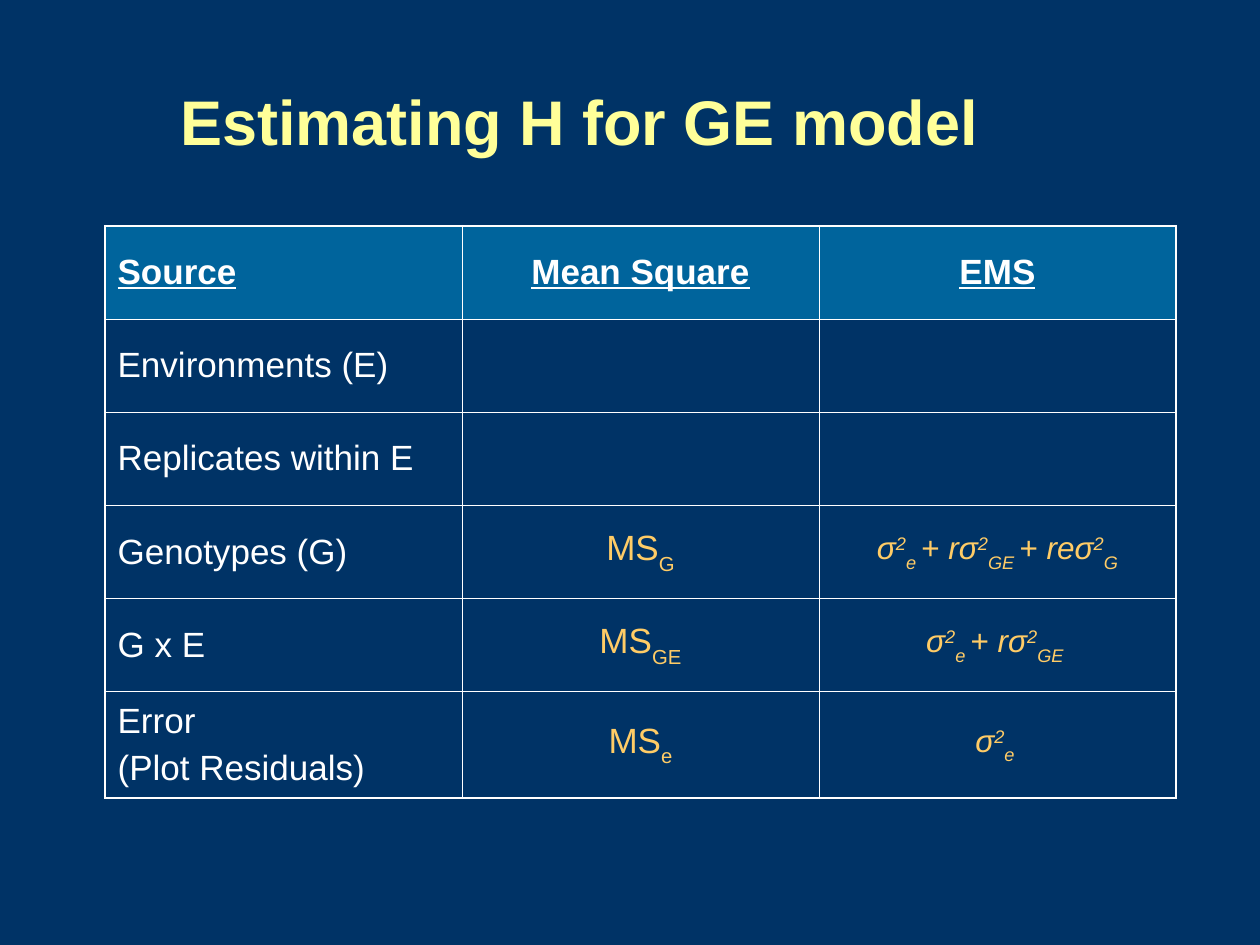
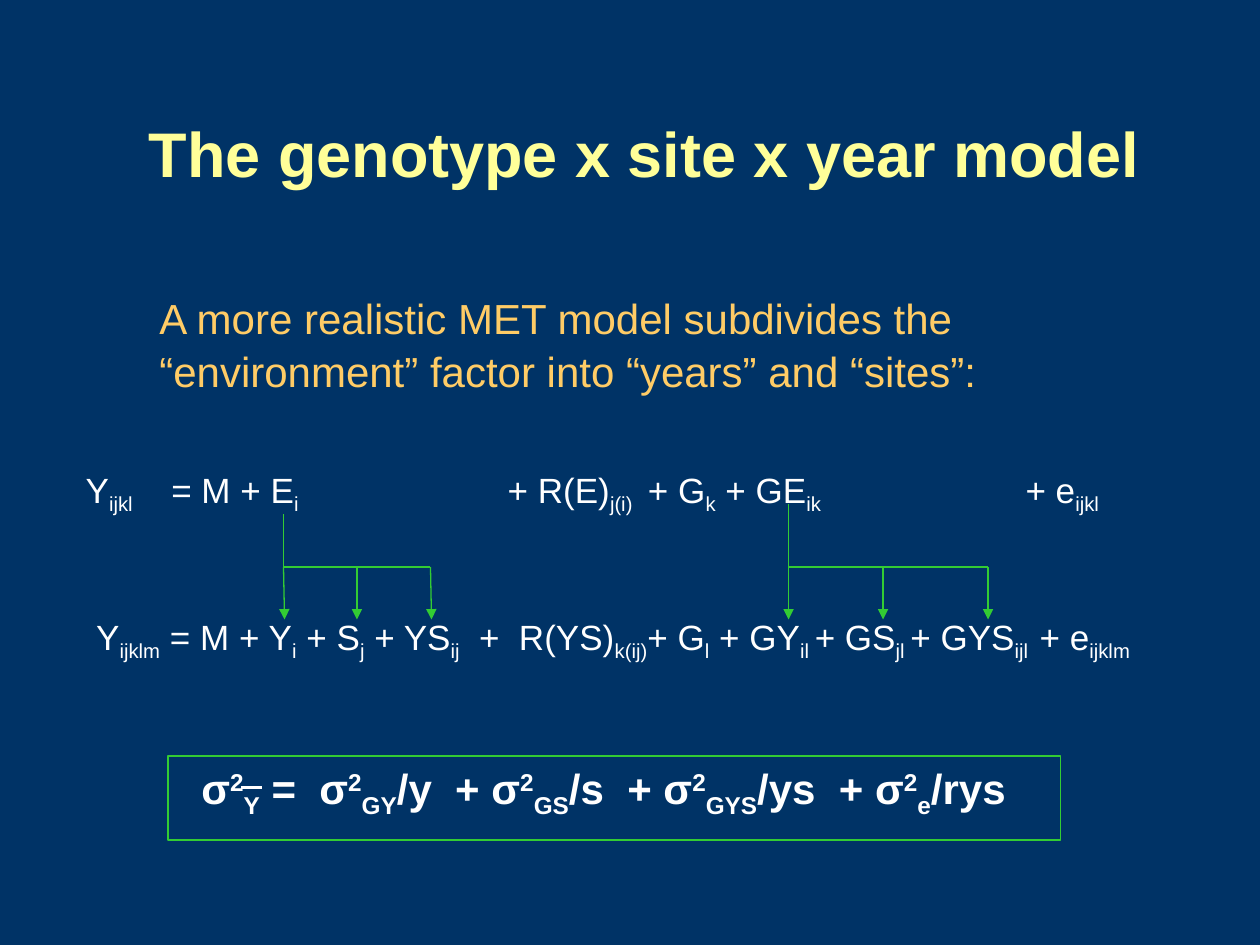
"""Builds two slides on estimating variance components in multi-environment trials."""
import pptx
import pptx.dml.color
import pptx.enum.shapes
import pptx.enum.text
import pptx.oxml
import pptx.oxml.ns
import pptx.util

UNIT = pptx.util.Inches(1) / 12
NAVY, TEAL, WHITE = "003366", "00649C", "FFFFFF"
YELLOW, AMBER, GREEN = "FFFF99", "FFCC66", "33CC33"
THIN, THICK = 0.45, 1.08
CENTER = pptx.enum.text.PP_ALIGN.CENTER
LEFT = pptx.enum.text.PP_ALIGN.LEFT
MIDDLE = pptx.enum.text.MSO_ANCHOR.MIDDLE
TOP = pptx.enum.text.MSO_ANCHOR.TOP

HEADERS = ["Source", "Mean Square", "EMS"]
SOURCES = [
    ("Environments (E)", "", ""),
    ("Replicates within E", "", ""),
    ("Genotypes (G)", "MS|_G", "σ|^2|_e |+ |rσ|^2|_GE |+ |reσ|^2|_G"),
    ("G x E", "MS|_GE", "σ|^2|_e |+ |rσ|^2|_GE "),
    ("Error\n(Plot Residuals)", "MS|_e", "σ|^2|_e "),
]
INTRO = ("A more realistic MET model subdivides the “environment” factor "
         "into “years” and “sites”:")
GE_MODEL = "Y|_ijkl|\t= M + E|_i|\t+ R(E)|_j(i) | + G|_k| + GE|_ik|\t+ e|_ijkl"
GE_TABS = [0.68, 3.35, 7.46]
GSY_MODEL = ("Y|_ijklm| = M + Y|_i| + S|_j| + YS|_ij|  +  R(YS)|_k(ij)|+ G|_l"
             "| + GY|_il |+ GS|_jl |+ GYS|_ijl  |+ e|_ijklm")
MEAN_VARIANCE = ("σ|^2|_Y| =  σ|^2|_GY|/y  + σ|^2|_GS|/s  + σ|^2|_GYS"
                 "|/ys  + σ|^2|_e|/rys")


def rgb(value):
    """Turn a hex string into a colour."""
    return pptx.dml.color.RGBColor.from_string(value)


def grid(*counts):
    """Turn counts of twelfths of an inch into lengths."""
    return [round(n * UNIT) for n in counts]


def add_runs(p, text, color, sub=-25, slant=False, **font):
    """Write runs split by bars, where _ lowers and ^ raises a run."""
    shifts = {"_": sub, "^": 30}
    for part in text.split("|"):
        r = p.add_run()
        shift = shifts.get(part[0])
        r.text = part[1:] if shift else part
        r.font.name = "Arial"
        r.font.color.rgb = rgb(color)
        for name, value in font.items():
            setattr(r.font, name, value)
        if slant:
            r.font.italic = not part.startswith("+")
        if shift:
            r._r.get_or_add_rPr().set("baseline", str(shift * 1000))


def add_tabs(p, stops):
    """Give a paragraph left tab stops in inches."""
    tabs = pptx.oxml.ns.qn("a:tabLst")
    tab_list = p._p.get_or_add_pPr().makeelement(tabs, {})
    for stop in stops:
        tab = tab_list.makeelement(pptx.oxml.ns.qn("a:tab"), {
            "pos": str(pptx.util.Inches(stop)), "algn": "l"})
        tab_list.append(tab)
    p._p.get_or_add_pPr().append(tab_list)


def add_text(s, box, text, size, color, anchor=TOP, indent=0.1, tabs=(),
             spacing=None, bold=False):
    """Place a wrapped one-paragraph text box on the grid."""
    tf = s.shapes.add_textbox(*grid(*box)).text_frame
    tf.word_wrap = True
    tf.vertical_anchor = anchor
    tf.margin_left = pptx.util.Inches(indent)
    p = tf.paragraphs[0]
    if spacing:
        p.line_spacing = spacing
    if tabs:
        add_tabs(p, tabs)
    add_runs(p, text, color, size=pptx.util.Pt(size), bold=bold)


def add_slide(prs, title, left, top):
    """Add a navy slide with its title."""
    s = prs.slides.add_slide(prs.slide_layouts[6])
    s.background.fill.solid()
    s.background.fill.fore_color.rgb = rgb(NAVY)
    add_text(s, (left, top, 102, 15), title, 36, YELLOW, MIDDLE, bold=True)
    return s


def add_line(s, start, end, color=GREEN, width=0.75, arrow=False):
    """Draw a straight line, with an arrowhead at its end if asked."""
    c = s.shapes.add_connector(pptx.enum.shapes.MSO_CONNECTOR.STRAIGHT,
                               *grid(*start, *end))
    c.line.color.rgb = rgb(color)
    c.line.width = pptx.util.Pt(width)
    props = c._element.spPr
    if arrow:
        ln = c.line._get_or_add_ln()
        ln.append(ln.makeelement(pptx.oxml.ns.qn("a:tailEnd"),
                                 {"type": "triangle"}))
    props.append(props.makeelement(pptx.oxml.ns.qn("a:effectLst"), {}))


def add_split(s, top, branches):
    """Draw a stem dividing into arrows, each given by its two x values."""
    bar, tip = 54, 59
    first, last = branches[0][0], branches[-1][0]
    add_line(s, (first, top), (first, bar))
    add_line(s, (first, bar), (last, bar))
    for start, end in branches:
        add_line(s, (start, bar), (end, tip), arrow=True)


def add_borders(cell, widths):
    """Line the four sides of a cell in white."""
    props = cell._tc.get_or_add_tcPr()
    for i, (side, width) in enumerate(widths.items()):
        props.insert(i, pptx.oxml.parse_xml(
            f'<a:ln{side} {pptx.oxml.ns.nsdecls("a")} '
            f'w="{pptx.util.Pt(width)}"><a:solidFill><a:srgbClr '
            f'val="{WHITE}"/></a:solidFill></a:ln{side}>'))


def fill_cell(cell, text, col, header):
    """Write one cell in the style of its column."""
    cell.vertical_anchor = MIDDLE
    size = 18 if col == 2 and not header else 20
    color = WHITE if header or col == 0 else AMBER
    for i, line in enumerate(text.split("\n") if text else []):
        tf = cell.text_frame
        p = tf.add_paragraph() if i else tf.paragraphs[0]
        p.alignment = CENTER if col else LEFT
        p.space_before = pptx.util.Pt(size / 4)
        add_runs(p, line, color, sub=-30, slant=size == 18,
                 size=pptx.util.Pt(size), bold=header, underline=header)


def add_anova(s, rows):
    """Add the analysis of variance table."""
    last_row, last_col = len(rows) - 1, len(rows[0]) - 1
    table = s.shapes.add_table(len(rows), len(rows[0]),
                               *grid(10, 21.5, 102, 54.5)).table
    table.horz_banding = False
    for col in table.columns:
        col.width = grid(34)[0]
    for r, row in enumerate(rows):
        table.rows[r].height = grid(10.1 if r == last_row else 8.88)[0]
        for c, text in enumerate(row):
            cell = table.cell(r, c)
            fill_cell(cell, text, c, r == 0)
            if r == 0:
                cell.fill.solid()
                cell.fill.fore_color.rgb = rgb(TEAL)
            else:
                cell.fill.background()
            outer = {"L": c == 0, "R": c == last_col,
                     "T": r == 0, "B": r == last_row}
            add_borders(cell, {side: THICK if edge else THIN
                               for side, edge in outer.items()})


def add_frame(s, box):
    """Draw an unfilled green rectangle."""
    sp = s.shapes.add_shape(pptx.enum.shapes.MSO_SHAPE.RECTANGLE, *grid(*box))
    sp.shadow.inherit = False
    sp.fill.background()
    sp.line.color.rgb = rgb(GREEN)
    sp.line.width = pptx.util.Pt(0.75)


def main():
    """Build and save the slides."""
    prs = pptx.Presentation()
    prs.slide_width, prs.slide_height = grid(120, 90)

    s = add_slide(prs, "Estimating H for GE model", 16, 4)
    add_anova(s, [HEADERS, *SOURCES])

    s = add_slide(prs, "The genotype x site x year model", 13, 7)
    add_text(s, (14, 27, 100, 10.8), INTRO, 24, AMBER, spacing=1.05)
    add_text(s, (6, 44, 107, 5.8), GE_MODEL, 20, WHITE,
             indent=0.18, tabs=GE_TABS)
    add_text(s, (7, 58, 107, 5.8), GSY_MODEL, 20, WHITE, indent=0.18)
    add_split(s, 49, [(27, 27.1), (34, 34), (41, 41.1)])
    add_split(s, 48, [(x, x) for x in (75.1, 84.1, 94.1)])
    add_text(s, (18, 72, 100, 6.7), MEAN_VARIANCE, 24, WHITE, bold=True)
    add_frame(s, (16, 72, 85, 8))
    add_line(s, (23, 75), (25, 75), WHITE, 1.5)
    prs.save("out.pptx")


if __name__ == "__main__":
    main()
